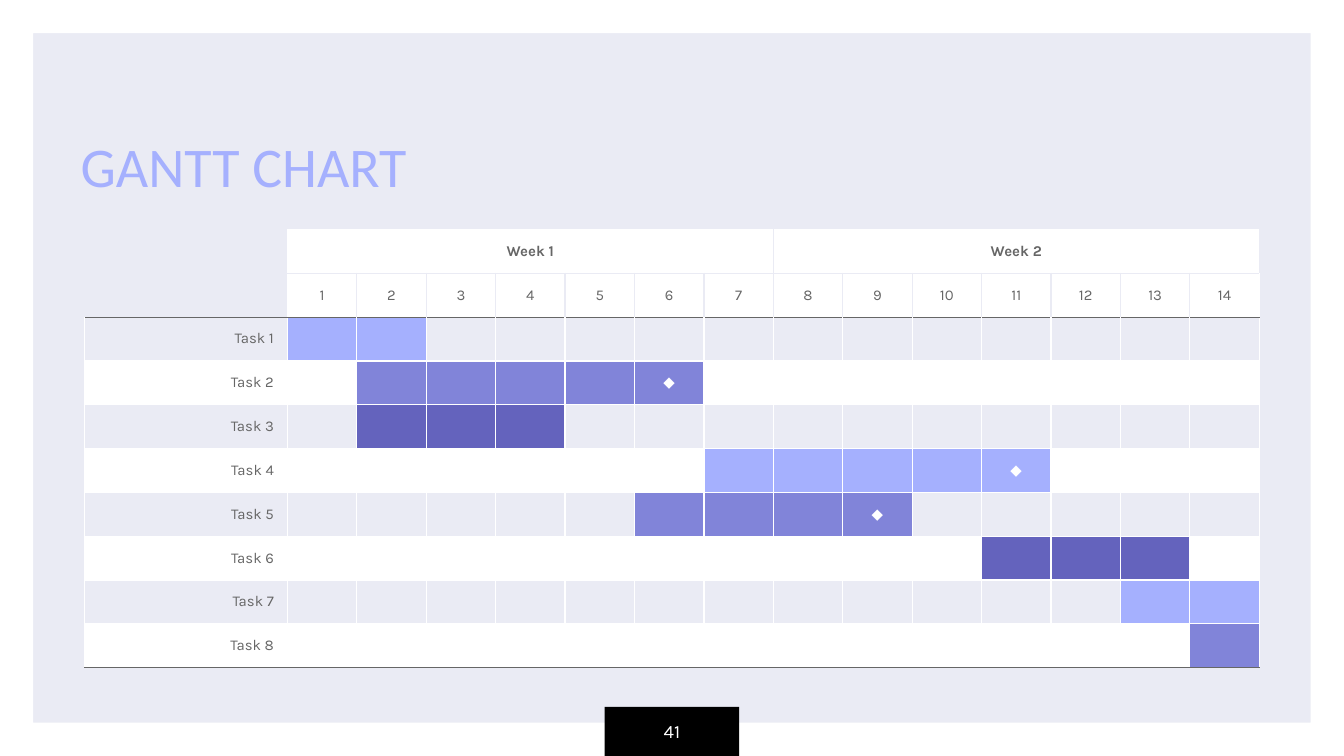
from lxml.etree import SubElement
from pptx import Presentation
from pptx.dml.color import RGBColor
from pptx.enum.shapes import MSO_SHAPE
from pptx.enum.text import MSO_ANCHOR, MSO_AUTO_SIZE, PP_ALIGN
from pptx.oxml.ns import qn
from pptx.util import Inches, Pt

SLIDE_WIDTH = Inches(10)
SLIDE_HEIGHT = SLIDE_WIDTH * 9 // 16
WHITE, PALE, DARK, BLACK = "FFFFFF", "EAEBF4", "666666", "000000"
LIGHT_BLUE, MID_BLUE, DEEP_BLUE = "A5B0FE", "8184D9", "6463BD"
BAR_COLORS = [LIGHT_BLUE, MID_BLUE, DEEP_BLUE]

WEEKS, DAYS_PER_WEEK = 2, 7
DAYS = WEEKS * DAYS_PER_WEEK
HEADER_ROWS = 2
# First day, last day, whether the task ends in a milestone
TASKS = [
    (1, 2, False), (2, 6, True), (2, 4, False), (7, 11, True),
    (6, 9, True), (11, 13, False), (13, 14, False), (14, 14, False),
]
ROWS = HEADER_ROWS + len(TASKS)


def color(hex_string):
    return RGBColor.from_string(hex_string)


def area(left, top, width, height):
    """Turn percentages of the slide's size into a position and size."""
    return (
        round(SLIDE_WIDTH * left / 100), round(SLIDE_HEIGHT * top / 100),
        round(SLIDE_WIDTH * width / 100), round(SLIDE_HEIGHT * height / 100),
    )


class SlideBuilder:
    font_name = "Karla"
    title_font = "Calibri"

    def __init__(self, presentation):
        self.slide = presentation.slides.add_slide(presentation.slide_layouts[5])
        background = self.slide.background.fill
        background.solid()
        background.fore_color.rgb = color(PALE)

    def style(self, paragraph, size, text_color, align, bold=False, font=None):
        paragraph.alignment = align
        paragraph.font.name = font or self.font_name
        paragraph.font.size = Pt(size)
        paragraph.font.bold = bold
        paragraph.font.color.rgb = color(text_color)

    def title(self, text, place):
        title = self.slide.shapes.title
        title.left, title.top, title.width, title.height = place
        frame = title.text_frame
        frame.text = text
        frame.auto_size = MSO_AUTO_SIZE.NONE
        frame.vertical_anchor = MSO_ANCHOR.BOTTOM
        frame.margin_left = frame.margin_right = Inches(0.1)
        frame.margin_top = frame.margin_bottom = Inches(0.1)
        self.style(frame.paragraphs[0], 30, LIGHT_BLUE, PP_ALIGN.LEFT, font=self.title_font)

    def shape(self, preset, place, fill):
        shape = self.slide.shapes.add_shape(preset, *place)
        shape.shadow.inherit = False
        shape.fill.solid()
        shape.fill.fore_color.rgb = color(fill)
        shape.line.fill.background()
        return shape

    def page_number(self, text, place):
        frame = self.shape(MSO_SHAPE.RECTANGLE, place, BLACK).text_frame
        frame.text = text
        frame.vertical_anchor = MSO_ANCHOR.MIDDLE
        self.style(frame.paragraphs[0], 10, WHITE, PP_ALIGN.CENTER)

    def table(self, place, rows, columns, label_share):
        """Add a plain table whose first column takes label_share of the width."""
        left, top, width, height = place
        table = self.slide.shapes.add_table(rows, columns, *place).table
        table.first_row = table.horz_banding = False
        label_width = round(width * label_share)
        for index, column in enumerate(table.columns):
            column.width = label_width if index == 0 else (width - label_width) // (columns - 1)
        for row in table.rows:
            row.height = height // rows
        return table

    def cell(self, cell, text, fill, borders, text_color=DARK, align=PP_ALIGN.CENTER, bold=False):
        cell.vertical_anchor = MSO_ANCHOR.MIDDLE
        paragraph = cell.text_frame.paragraphs[0]
        if text:
            paragraph.text = text
        self.style(paragraph, 8, text_color, align, bold)
        if not text:
            SubElement(paragraph._p, qn("a:endParaRPr"), sz="800")
        self.borders(cell, borders)
        if fill:
            cell.fill.solid()
            cell.fill.fore_color.rgb = color(fill)
        else:
            cell.fill.background()

    def borders(self, cell, colors):
        """Draw the left, right, top and bottom lines; None leaves a side open."""
        properties = cell._tc.get_or_add_tcPr()
        for side, hex_string in zip("LRTB", colors):
            line = SubElement(properties, qn(f"a:ln{side}"), w=str(Pt(0.75)))
            if hex_string:
                solid = SubElement(line, qn("a:solidFill"))
                SubElement(solid, qn("a:srgbClr"), val=hex_string)
            else:
                SubElement(line, qn("a:noFill"))


def cell_borders(row, column):
    if row < HEADER_ROWS and column == 0:
        return None, WHITE, None, DARK if row == HEADER_ROWS - 1 else None

    def vertical(edge):
        return PALE if row < HEADER_ROWS and 1 < edge <= DAYS else WHITE

    def horizontal(edge):
        return {1: PALE, HEADER_ROWS: DARK, ROWS: DARK}.get(edge, WHITE)

    return vertical(column), vertical(column + 1), horizontal(row), horizontal(row + 1)


def header_text(row, column):
    if column == 0:
        return ""
    if row == 1:
        return str(column)
    week, day = divmod(column - 1, DAYS_PER_WEEK)
    return f"Week {week + 1}" if day == 0 else ""


def fill_gantt_table(builder, table):
    for row in range(HEADER_ROWS):
        for column in range(DAYS + 1):
            builder.cell(table.cell(row, column), header_text(row, column),
                         WHITE if column else None,
                         cell_borders(row, column), bold=row == 0)
    for first in range(1, DAYS + 1, DAYS_PER_WEEK):
        table.cell(0, first).merge(table.cell(0, first + DAYS_PER_WEEK - 1))

    for index, (start, end, milestone) in enumerate(TASKS):
        row = HEADER_ROWS + index
        band = WHITE if index % 2 else None
        bar = BAR_COLORS[index % len(BAR_COLORS)]
        builder.cell(table.cell(row, 0), f"Task {index + 1}", band,
                     cell_borders(row, 0), align=PP_ALIGN.RIGHT)
        for day in range(1, DAYS + 1):
            builder.cell(table.cell(row, day), "◆" if milestone and day == end else "",
                         bar if start <= day <= end else band,
                         cell_borders(row, day), text_color=WHITE)


def main():
    presentation = Presentation()
    presentation.slide_width, presentation.slide_height = SLIDE_WIDTH, SLIDE_HEIGHT
    builder = SlideBuilder(presentation)
    frame = builder.shape(MSO_SHAPE.FRAME, area(0, 0, 100, 100), WHITE)
    frame.adjustments[0] = 0.044
    builder.title("GANTT CHART", area(5, 11.38, 56.2, 16.71))
    builder.page_number("41", area(45, 93.5, 10, 6.5))
    table = builder.table(area(6.3, 30.36, 87.45, 58), ROWS, DAYS + 1, 0.1725)
    fill_gantt_table(builder, table)
    presentation.save("out.pptx")


if __name__ == "__main__":
    main()
